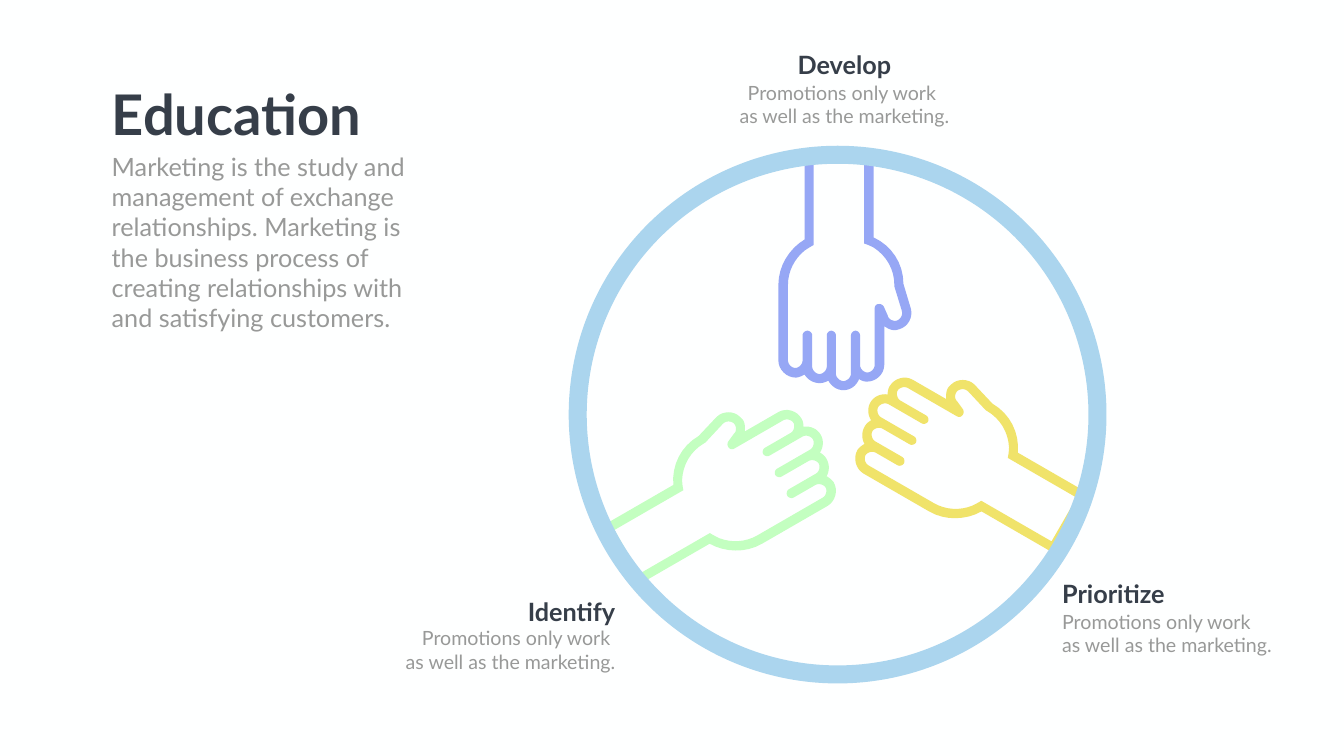
from pptx import Presentation
from pptx import util as u
from pptx.dml.color import RGBColor
from pptx.enum import shapes, text

COLORS = {
    "background": "FEFFFF", "heading": "363E49", "body": "989998", "ring": "ABD5EE",
    "develop": "96A7F5", "identify": "C3FFC0", "prioritize": "F0E36A",
}
FONT = "Lato"
HAND_WIDTH, HAND_HEIGHT = 267, 469
HAND_UNIT = u.Cm(0.0254)
CURVE_STEPS = 8
HEADING_WIDTH, HEADING_HEIGHT, BODY_HEIGHT = 6.63, 1.8, 2.64
ALIGNMENTS = {
    "left": (text.PP_ALIGN.LEFT, 0),
    "center": (text.PP_ALIGN.CENTER, 0.5),
    "right": (text.PP_ALIGN.RIGHT, 1),
}

# Pairs are line ends, sextets are Bézier curves, in hundredths of the hand's box.
HAND_OUTSIDE = [
    (4, 162), (19, 212), (19, 253, 43, 288, 78, 304), (78, 469), (215, 469), (215, 300),
    (245, 282, 267, 248, 267, 210), (267, 60), (267, 42, 251, 26, 233, 26),
    (227, 26, 221, 29, 215, 32), (209, 22, 198, 15, 185, 15),
    (179, 15, 173, 17, 168, 20), (162, 9, 151, 1, 138, 1),
    (124, 1, 112, 10, 107, 23), (103, 20, 97, 18, 91, 18),
    (73, 18, 57, 33, 57, 51), (57, 128), (51, 124, 44, 120, 37, 120),
    (33, 120, 31, 121, 27, 122), (10, 127, 0, 145, 4, 162),
]
THUMB_INSIDE = [
    (32, 139), (40, 137, 49, 142, 50, 149), (58, 167),
    (60, 170, 63, 172, 67, 172), (72, 172, 76, 169, 76, 163),
]
PALM_INSIDE = [
    (248, 210), (248, 237, 235, 262, 215, 278), (209, 282, 203, 286, 197, 289),
    (197, 450), (97, 450), (97, 292), (90, 290, 84, 287, 78, 284),
    (53, 268, 37, 241, 37, 210), (37, 207), (22, 158), (20, 149, 25, 142, 32, 139),
]
FINGERS = [(76, 105, 51), (123, 153, 34), (171, 200, 48), (219, 248, 60)]


def arch(left, right, base, rise):
    middle = (left + right) / 2
    bend = (right - left) * 0.22
    return [
        (left, base),
        (left, base + rise * 0.55, middle - bend, base + rise, middle, base + rise),
        (middle + bend, base + rise, right, base + rise * 0.55, right, base),
    ]


def hand_inside():
    steps = list(THUMB_INSIDE)
    for finger, following in zip(FINGERS, FINGERS[1:] + [None]):
        steps += arch(*finger, -15)
        if following:
            steps += arch(finger[1], following[0], 110, 9)
    return steps + PALM_INSIDE


def flatten(steps):
    points = [steps[0]]
    for step in steps[1:]:
        if len(step) == 2:
            points.append(step)
            continue
        x0, y0 = points[-1]
        x1, y1, x2, y2, x3, y3 = step
        for i in range(1, CURVE_STEPS + 1):
            t = i / CURVE_STEPS
            a, b, c, d = (1 - t) ** 3, 3 * t * (1 - t) ** 2, 3 * t * t * (1 - t), t ** 3
            points.append((a * x0 + b * x1 + c * x2 + d * x3,
                           a * y0 + b * y1 + c * y2 + d * y3))
    return points


def add_hand(slide, left, top, rotation, color, mirrored=False):
    def to_local(point):
        x, y = point
        return round((HAND_WIDTH - x if mirrored else x) * HAND_UNIT), round(y * HAND_UNIT)

    outside, inside = ([to_local(p) for p in flatten(steps)]
                       for steps in (HAND_OUTSIDE, hand_inside()))
    builder = slide.shapes.build_freeform(*outside[0])
    builder.add_line_segments(outside[1:], close=True)
    builder.move_to(*inside[0])
    builder.add_line_segments(inside[1:], close=True)
    hand = builder.convert_to_shape(u.Cm(left), u.Cm(top))
    hand.rotation = rotation
    hand.shadow.inherit = False
    hand.fill.solid()
    hand.fill.fore_color.rgb = RGBColor.from_string(COLORS[color])
    hand.line.fill.background()


def add_ring(slide, left, top, size):
    ring = slide.shapes.add_shape(
        shapes.MSO_SHAPE.OVAL, u.Cm(left), u.Cm(top), u.Cm(size), u.Cm(size))
    ring.shadow.inherit = False
    ring.fill.background()
    ring.line.color.rgb = RGBColor.from_string(COLORS["ring"])
    ring.line.width = u.Pt(25.75)


def write(frame, words, size, color, align="left", bold=False, wrap=True):
    frame.text = words
    frame.word_wrap = wrap
    frame.vertical_anchor = text.MSO_ANCHOR.TOP
    for paragraph in frame.paragraphs:
        paragraph.alignment = ALIGNMENTS[align][0]
        paragraph.font.name = FONT
        paragraph.font.size = u.Pt(size)
        paragraph.font.bold = bold
        paragraph.font.color.rgb = RGBColor.from_string(COLORS[color])


def add_words(slide, left, top, width, height, *args, **style):
    box = slide.shapes.add_textbox(u.Cm(left), u.Cm(top), u.Cm(width), u.Cm(height))
    write(box.text_frame, *args, **style)


def add_intro(slide, left, top, width, heading, body):
    title = slide.shapes.title
    title.left, title.top = u.Cm(left), u.Cm(top)
    title.width, title.height = u.Cm(13.31), u.Cm(3.68)
    write(title.text_frame, heading, 80, "heading", bold=True, wrap=False)
    title.text_frame.auto_size = text.MSO_AUTO_SIZE.NONE
    add_words(slide, left, top + 3.6, width, 9.5, body, 36, "body")


def add_caption(slide, left, top, width, height, heading, align):
    heading_left = left + (width - HEADING_WIDTH) * ALIGNMENTS[align][1]
    add_words(slide, heading_left, top, HEADING_WIDTH, HEADING_HEIGHT,
              heading, 36, "heading", align=align, bold=True)
    add_words(slide, left, top + height - BODY_HEIGHT, width, BODY_HEIGHT,
              "Promotions only work \nas well as the marketing.", 28, "body", align=align)


def main():
    deck = Presentation()
    deck.slide_width, deck.slide_height = u.Cm(67.72), u.Cm(38.1)
    slide = deck.slides.add_slide(deck.slide_layouts.get_by_name("Title Only"))
    slide.background.fill.solid()
    slide.background.fill.fore_color.rgb = RGBColor.from_string(COLORS["background"])

    add_hand(slide, 39.14, 7.75, 180, "develop")
    add_hand(slide, 32.74, 18.85, 60, "identify")
    add_hand(slide, 45.69, 17.22, 300, "prioritize", mirrored=True)
    add_ring(slide, 29.11, 7.8, 26.19)

    add_intro(slide, 5.38, 3.89, 16.61, "Education",
              "Marketing is the study and management of exchange relationships. "
              "Marketing is the business process of creating relationships with "
              "and satisfying customers.")
    add_caption(slide, 36.93, 2.34, 11.23, 4.24, "Develop", "center")
    add_caption(slide, 19.79, 29.95, 11.46, 4.11, "Identify", "right")
    add_caption(slide, 53.27, 29.03, 11.46, 4.22, "Prioritize", "left")
    deck.save("out.pptx")


if __name__ == "__main__":
    main()
